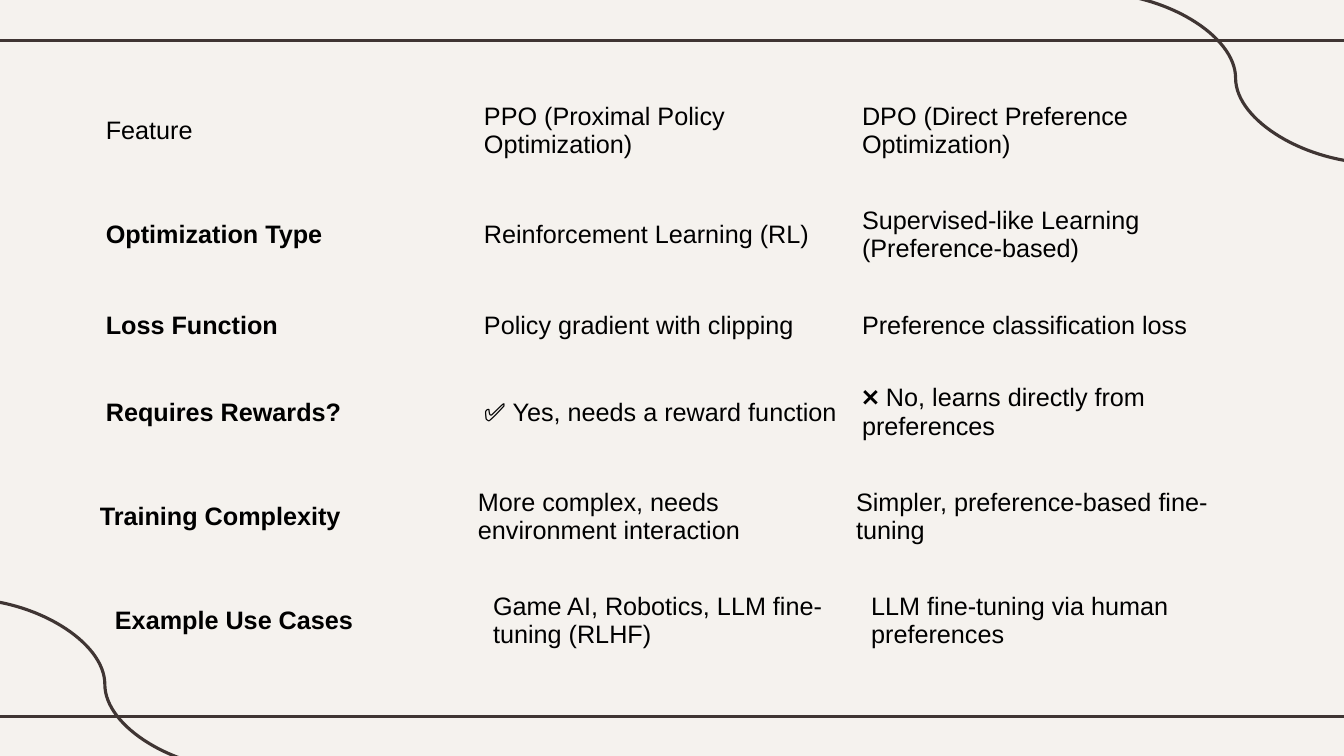
from pptx import Presentation
from pptx.dml.color import RGBColor
from pptx.enum.shapes import MSO_CONNECTOR
from pptx.enum.text import MSO_ANCHOR
from pptx.oxml.ns import qn
from pptx.util import Inches, Pt
from lxml import etree

STRAIGHT, CURVE = MSO_CONNECTOR.STRAIGHT, MSO_CONNECTOR.CURVE
MIDDLE = MSO_ANCHOR.MIDDLE
CREAM = RGBColor(0xF5, 0xF2, 0xEE)
BROWN = RGBColor(0x3F, 0x35, 0x33)
BLACK = RGBColor(0x00, 0x00, 0x00)
NO_STYLE_NO_GRID = "{2D5ABB26-0587-4C30-8999-92F81FD0307C}"

deck = Presentation()
deck.slide_width, deck.slide_height = Inches(13.33), Inches(7.5)
page = deck.slides.add_slide(deck.slide_layouts[6])
page.background.fill.solid()
page.background.fill.fore_color.rgb = CREAM

# Frame rules and corner curves
decorations = [
    (STRAIGHT, -0.11, 0.4, 13.44, 0.4),
    (STRAIGHT, -0.11, 7.11, 13.44, 7.11),
    (CURVE, -0.36, 5.94, 2.44, 7.64),
    (CURVE, 10.85, -0.07, 13.66, 1.62),
]
for kind, *ends in decorations:
    stroke = page.shapes.add_connector(kind, *map(Inches, ends))
    stroke.line.color.rgb = BROWN
    stroke.line.width = Pt(2.25)
    etree.SubElement(stroke._element.spPr, qn("a:effectLst"))

# Comparison: one single-row table per feature (left, top, height, texts)
features = [
    (0.95, 0.97, 0.72, ["Feature", "PPO (Proximal Policy Optimization)",
                        "DPO (Direct Preference Optimization)"]),
    (0.95, 2.0, 0.72, ["Optimization Type", "Reinforcement Learning (RL)",
                       "Supervised-like Learning (Preference-based)"]),
    (0.95, 3.04, 0.41, ["Loss Function", "Policy gradient with clipping",
                        "Preference classification loss"]),
    (0.95, 3.76, 0.72, ["Requires Rewards?", "✅ Yes, needs a reward function",
                        "❌ No, learns directly from preferences"]),
    (0.89, 4.8, 0.72, ["Training Complexity",
                       "More complex, needs environment interaction",
                       "Simpler, preference-based fine-tuning"]),
    (1.04, 5.83, 0.72, ["Example Use Cases",
                        "Game AI, Robotics, LLM fine-tuning (RLHF)",
                        "LLM fine-tuning via human preferences"]),
]
for row_number, (left, top, height, texts) in enumerate(features):
    frame = page.shapes.add_table(1, 3, Inches(left), Inches(top),
                                  Inches(11.25), Inches(height))
    table = frame.table
    table.first_row = table.horz_banding = False
    for style in frame._element.iter(qn("a:tableStyleId")):
        style.text = NO_STYLE_NO_GRID
    # The row grows to fit its text
    table.rows[0].height = Inches(0)
    frame.height = Inches(height)
    for column, text in enumerate(texts):
        cell = table.cell(0, column)
        cell.fill.background()
        cell.vertical_anchor = MIDDLE
        cell.text = text
        font = cell.text_frame.paragraphs[0].font
        font.name, font.size = "Arial", Pt(18)
        font.bold = row_number > 0 and column == 0
        font.color.rgb = BLACK

deck.save("out.pptx")
